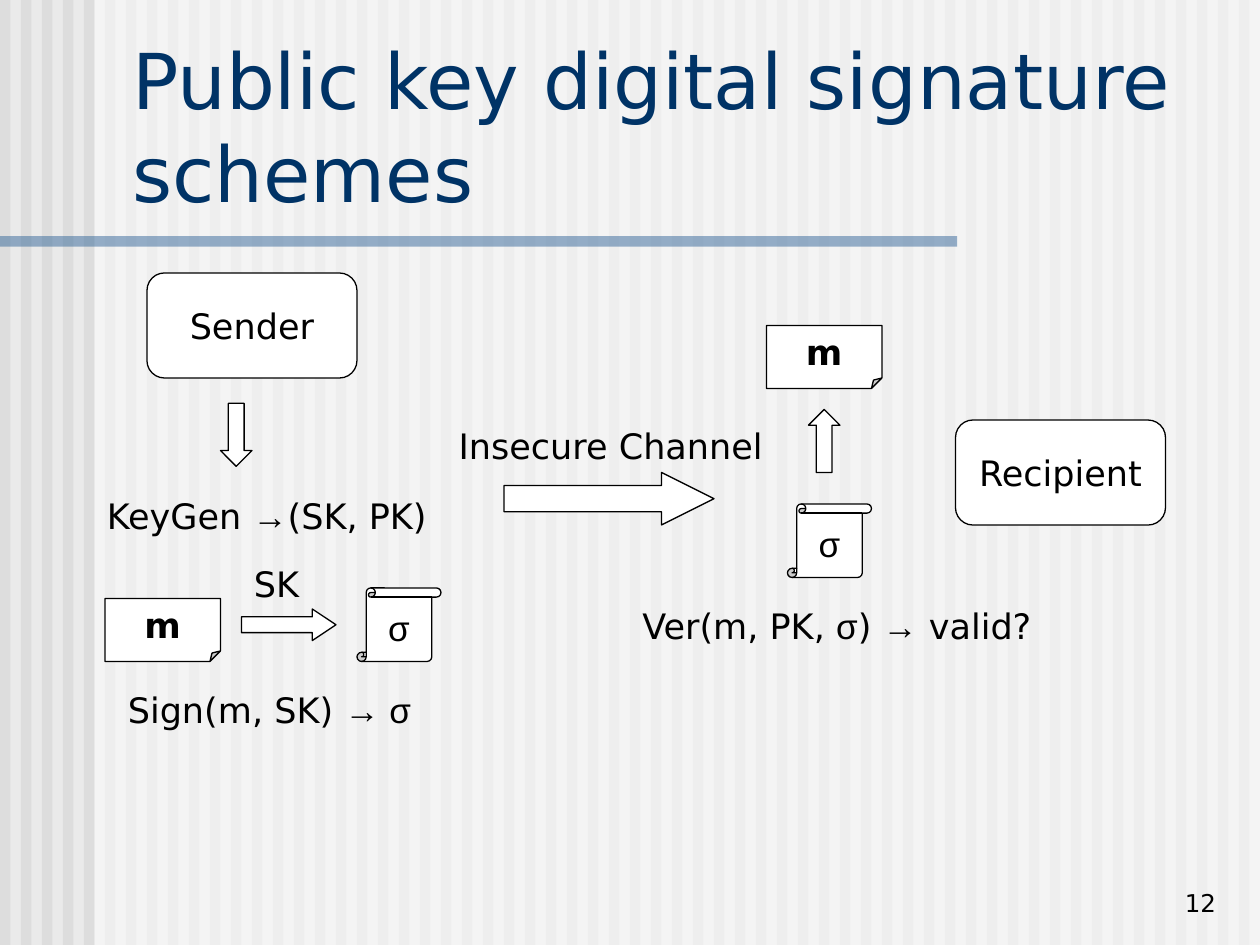
from lxml import etree
from pptx import Presentation
from pptx.dml.color import RGBColor
from pptx.enum.shapes import MSO_SHAPE
from pptx.enum.text import MSO_ANCHOR, PP_ALIGN
from pptx.oxml.ns import qn
from pptx.util import Pt

RECT, ROUND = MSO_SHAPE.RECTANGLE, MSO_SHAPE.ROUNDED_RECTANGLE
RIGHT, DOWN, UP = MSO_SHAPE.RIGHT_ARROW, MSO_SHAPE.DOWN_ARROW, MSO_SHAPE.UP_ARROW
NOTE, SCROLL = MSO_SHAPE.FOLDED_CORNER, MSO_SHAPE.VERTICAL_SCROLL
TOP, MIDDLE, BOTTOM = MSO_ANCHOR.TOP, MSO_ANCHOR.MIDDLE, MSO_ANCHOR.BOTTOM
LEFT, CENTER, END = PP_ALIGN.LEFT, PP_ALIGN.CENTER, PP_ALIGN.RIGHT

BLACK = RGBColor(0, 0, 0)
WHITE = RGBColor(0xFF, 0xFF, 0xFF)
PAPER = RGBColor(0xEA, 0xEA, 0xEA)
STRIPE = RGBColor(0xDD, 0xDD, 0xDD)
BLUE = RGBColor(0x33, 0x66, 0x99)
NAVY = RGBColor(0x00, 0x33, 0x66)

W, H = 720, 540
PITCH = 12


class Deck:
    font = "DejaVu Sans"
    symbol = "Arial"
    size = 20

    def __init__(self):
        self.prs = Presentation()
        self.prs.slide_width, self.prs.slide_height = Pt(W), Pt(H)
        self.slide = self.prs.slides.add_slide(self.prs.slide_layouts[6])
        fill = self.slide.background.fill
        fill.solid()
        fill.fore_color.rgb = PAPER

    def shape(self, kind, x, y, w, h, color=WHITE):
        item = self.slide.shapes.add_shape(kind, Pt(x), Pt(y), Pt(w), Pt(h))
        item.shadow.inherit = False
        item.fill.solid()
        item.fill.fore_color.rgb = color
        return item

    def band(self, x, y, w, h, color, alpha=100):
        """Borderless rectangle, opaque to alpha percent."""
        item = self.shape(RECT, x, y, w, h, color)
        item.line.fill.background()
        if alpha < 100:
            tint = item.fill._xPr.find(".//" + qn("a:srgbClr"))
            etree.SubElement(tint, qn("a:alpha"), val=str(alpha * 1000))

    def node(self, kind, x, y, w, h, *parts, bold=None, adj=()):
        """Outlined shape with an optional label."""
        item = self.shape(kind, x, y, w, h)
        item.line.color.rgb = BLACK
        item.line.width = Pt(0.75)
        for i, value in enumerate(adj):
            item.adjustments[i] = value
        if parts:
            item.text_frame.word_wrap = False
            self.label(item.text_frame, parts, CENTER, MIDDLE, bold=bold)

    def text(self, x, y, w, h, *parts, align=LEFT, anchor=TOP, size=size, color=BLACK):
        box = self.slide.shapes.add_textbox(Pt(x), Pt(y), Pt(w), Pt(h))
        box.text_frame.word_wrap = True
        self.label(box.text_frame, parts, align, anchor, size, color)

    def label(self, frame, parts, align, anchor, size=size, color=BLACK, bold=None):
        """Parts alternate between the text font and the symbol font."""
        frame.vertical_anchor = anchor
        para = frame.paragraphs[0]
        para.alignment = align
        para.font.size, para.font.bold = Pt(size), bold
        para.font.color.rgb = color
        para.font.name = self.font
        for i, part in enumerate(parts):
            if part:
                run = para.add_run()
                run.text = part
                if i % 2:
                    run.font.name = self.symbol

    def message(self, x, y):
        self.node(NOTE, x, y, 66, 36, "m", bold=True)

    def seal(self, x, y):
        self.node(SCROLL, x, y, 48, 42, "", "σ")


def main():
    deck = Deck()

    # Striped background
    for x in range(0, W, PITCH):
        deck.band(x, 0, PITCH / 2, H, STRIPE)
    deck.band(54, 0, W - 54, H, WHITE, 50)
    deck.band(0, 135, 547, 6, BLUE, 50)

    # Page number and title
    deck.text(630, 492, 72, 36, "12", align=END, anchor=BOTTOM, size=14)
    deck.text(68.5, 15, 643, 113, "Public key digital signature schemes",
              anchor=BOTTOM, size=44, color=NAVY)

    # Parties and channel
    deck.node(ROUND, 84, 156, 120, 60, "Sender")
    deck.node(ROUND, 546, 240, 120, 60, "Recipient")
    deck.node(RIGHT, 288, 270, 120, 30, adj=(0.5, 1))
    deck.text(255, 239, 210, 32, "Insecure Channel")

    # Key generation
    deck.node(DOWN, 126, 230.5, 18, 36)
    deck.text(54, 279, 210, 32, "KeyGen ", "→", "(SK, PK)")

    # Signing
    deck.message(60, 342)
    deck.node(RIGHT, 138, 348, 54, 18, adj=(0.5, 0.75))
    deck.text(138, 318, 48, 32, "SK")
    deck.seal(204, 336)
    deck.text(66, 390, 210, 32, "Sign(m, SK) ", "→ σ")

    # Verification
    deck.message(438, 186)
    deck.node(UP, 462, 234, 18, 36)
    deck.seal(450, 288)
    deck.text(360, 342, 252, 32, "Ver(m, PK, ", "σ", ") ", "→", " valid?")

    deck.prs.save("out.pptx")


if __name__ == "__main__":
    main()
